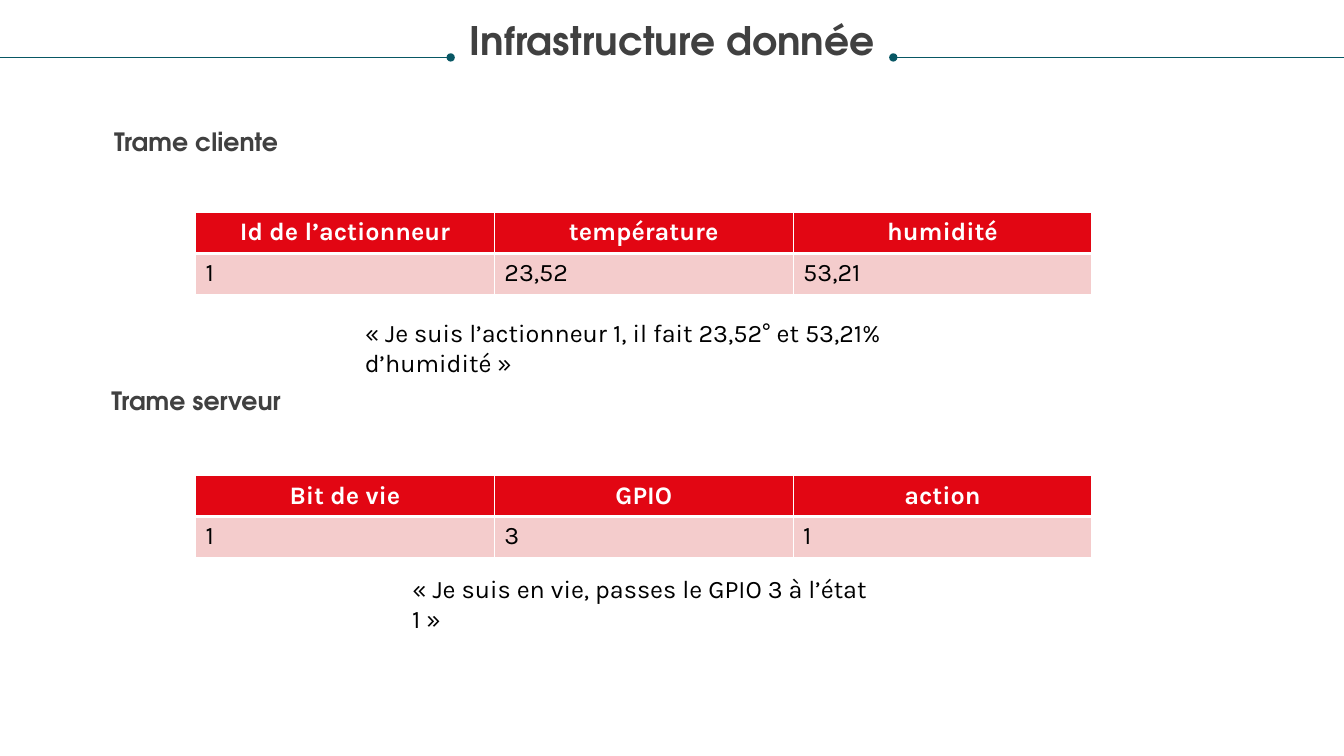
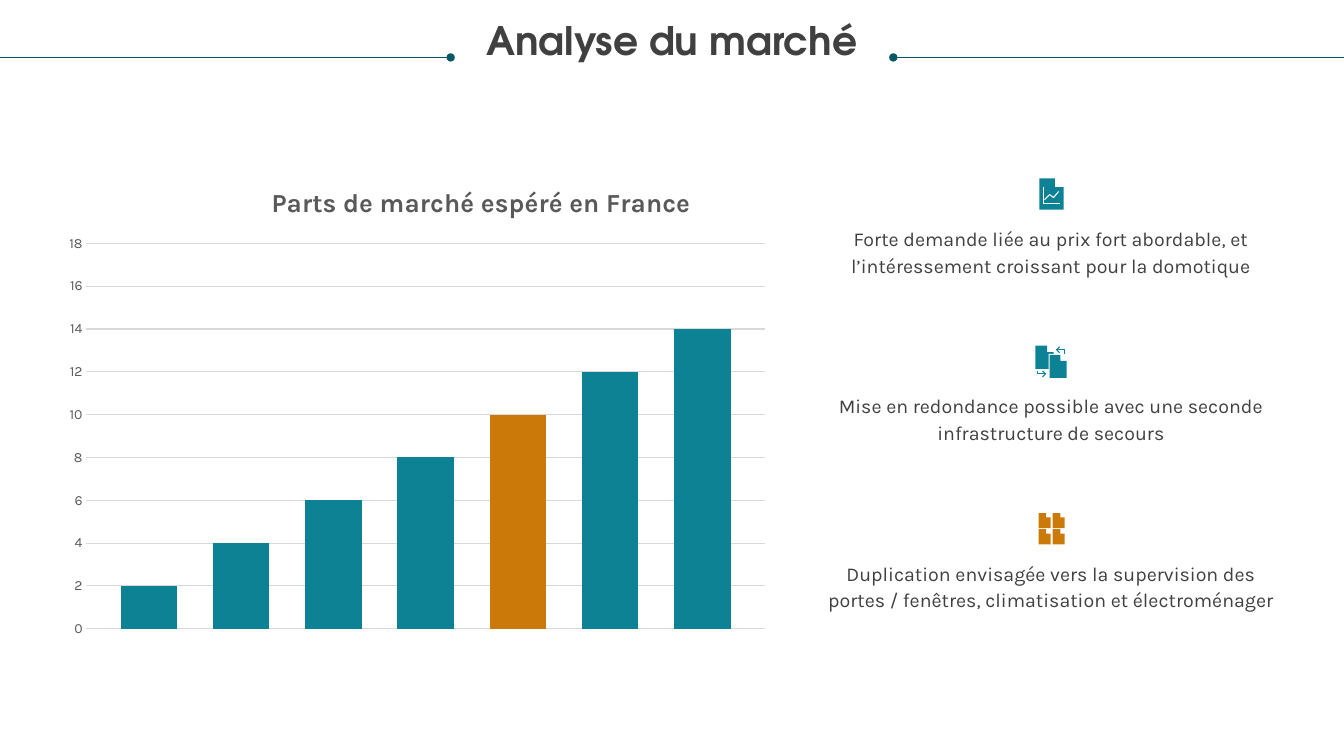
"""Build two slides: the data frames of an infrastructure and a market analysis."""
from typing import NamedTuple

from lxml import etree
from pptx import Presentation
from pptx.chart.data import CategoryChartData
from pptx.dml.color import RGBColor
from pptx.enum.chart import XL_CHART_TYPE, XL_TICK_MARK
from pptx.enum.shapes import MSO_CONNECTOR
from pptx.enum.text import PP_ALIGN
from pptx.oxml import parse_xml
from pptx.oxml.ns import nsdecls, qn
from pptx.util import Inches, Pt

COLUMNS = XL_CHART_TYPE.COLUMN_CLUSTERED
NO_TICK = XL_TICK_MARK.NONE
STRAIGHT = MSO_CONNECTOR.STRAIGHT
LEFT, CENTER = PP_ALIGN.LEFT, PP_ALIGN.CENTER

WHITE = RGBColor(0xFF, 0xFF, 0xFF)
BLACK = RGBColor(0x00, 0x00, 0x00)
DARK = RGBColor(0x40, 0x40, 0x40)
GREY = RGBColor(0x59, 0x59, 0x59)
GRID = RGBColor(0xD9, 0xD9, 0xD9)
RED = RGBColor(0xE2, 0x06, 0x13)
PINK = RGBColor(0xF4, 0xCC, 0xCC)
DEEP_TEAL = RGBColor(0x08, 0x57, 0x64)
TEAL = RGBColor(0x0D, 0x82, 0x95)
ORANGE = RGBColor(0xCB, 0x7A, 0x09)

HEAD_FONT, BODY_FONT = "TeX Gyre Adventor", "Karla"
SLIDE_W, SLIDE_H = 13.33, 7.5
RULE_Y = 0.57
PAGE_FOLD = 0.36


class Frame(NamedTuple):
    """A titled data frame with its table and its spoken meaning."""
    title: str
    title_y: float
    table_y: float
    rows: tuple
    quote: str
    quote_box: tuple


class Page(NamedTuple):
    """A sheet with a folded corner in an icon."""
    x: float
    y: float
    w: float
    h: float
    color: RGBColor


class Stroke(NamedTuple):
    """An open line in an icon."""
    points: tuple
    color: RGBColor


class Argument(NamedTuple):
    """A market argument and its icon."""
    y: float
    text: str
    icon: tuple


FRAMES = (
    Frame("Trame cliente", 1.29, 2.11,
          (("Id de l’actionneur", "température", "humidité"), ("1", "23,52", "53,21")),
          "« Je suis l’actionneur 1, il fait 23,52° et 53,21% d’humidité »", (3.52, 3.1, 6.3, 0.4)),
    Frame("Trame serveur", 3.86, 4.72,
          (("Bit de vie", "GPIO", "action"), ("1", "3", "1")),
          "« Je suis en vie, passes le GPIO 3 à l’état 1 »", (3.99, 5.64, 4.8, 0.4)),
)

ARGUMENTS = (
    Argument(2.22, "Forte demande liée au prix fort abordable, et l’intéressement croissant pour la domotique", (
        Page(10.31, 1.77, 0.24, 0.31, TEAL),
        Stroke(((10.35, 1.86), (10.35, 2.02), (10.51, 2.02)), WHITE),
        Stroke(((10.36, 1.98), (10.41, 1.93), (10.45, 1.96), (10.5, 1.9)), WHITE))),
    Argument(3.88, "Mise en redondance possible avec une seconde infrastructure de secours", (
        Page(10.27, 3.43, 0.18, 0.23, TEAL),
        Page(10.4, 3.51, 0.19, 0.24, WHITE),
        Page(10.41, 3.52, 0.17, 0.23, TEAL),
        Stroke(((10.48, 3.47), (10.56, 3.47), (10.56, 3.51)), TEAL),
        Stroke(((10.51, 3.44), (10.48, 3.47), (10.51, 3.5)), TEAL),
        Stroke(((10.29, 3.68), (10.29, 3.71), (10.37, 3.71)), TEAL),
        Stroke(((10.34, 3.68), (10.37, 3.71), (10.34, 3.74)), TEAL))),
    Argument(5.54, "Duplication envisagée vers la supervision des portes / fenêtres, "
                   "climatisation et électroménager",
             tuple(Page(x, y, 0.12, 0.15, ORANGE) for y in (5.09, 5.25) for x in (10.3, 10.44))),
)

SHARES = (2, 4, 6, 8, 10, 12, 14)
HIGHLIGHT = 10


def write(tf, text: str, *, size: float = 18, font: str = BODY_FONT, color: RGBColor = BLACK,
          bold: bool = False, align=LEFT, spacing=None) -> None:
    """Put one formatted paragraph into a text frame."""
    p = tf.paragraphs[0]
    p.alignment = align
    if spacing is not None:
        p.line_spacing = spacing
    r = p.add_run()
    r.text = text
    r.font.size = Pt(size)
    r.font.name = font
    r.font.bold = bold
    r.font.color.rgb = color


def add_text(s, box: tuple, text: str, *, inset: bool = False, **style) -> None:
    """Add a wrapping text box, without margins unless inset."""
    tf = s.shapes.add_textbox(*map(Inches, box)).text_frame
    tf.word_wrap = True
    if not inset:
        tf.margin_left = tf.margin_top = tf.margin_right = tf.margin_bottom = 0
    write(tf, text, **style)


def add_heading(s, box: tuple, text: str, size: float) -> None:
    """Add a centred bold heading."""
    add_text(s, box, text, size=size, font=HEAD_FONT, color=DARK, bold=True, align=CENTER, spacing=0.9)


def add_titled_slide(prs, title: str):
    """Add a blank slide with the title between two dotted rules."""
    s = prs.slides.add_slide(prs.slide_layouts[6])
    for inner, outer in ((4.47, 0), (8.86, SLIDE_W)):
        rule = s.shapes.add_connector(STRAIGHT, Inches(inner), Inches(RULE_Y), Inches(outer), Inches(RULE_Y))
        rule.line.color.rgb = DEEP_TEAL
        rule.line.width = Pt(0.5)
        etree.SubElement(rule.line._get_or_add_ln(), qn("a:headEnd"), type="oval")
        etree.SubElement(rule._element.spPr, qn("a:effectLst"))
    add_heading(s, (0.25, 0.21, 12.83, 0.42), title, 28)
    return s


def set_borders(cell, bottom: float) -> None:
    """Give a cell white borders, 1 pt except at the bottom."""
    tc_pr = cell._tc.get_or_add_tcPr()
    for side, width in (("L", 1), ("R", 1), ("T", 1), ("B", bottom)):
        tc_pr.append(parse_xml(
            f'<a:ln{side} {nsdecls("a")} w="{Pt(width)}"><a:solidFill>'
            f'<a:srgbClr val="{WHITE}"/></a:solidFill></a:ln{side}>'))


def add_frame(s, frame: Frame) -> None:
    """Draw the heading, table and quote of a frame."""
    add_heading(s, (0.25, frame.title_y, 3.39, 0.27), frame.title, 18)
    rows, cols = len(frame.rows), len(frame.rows[0])
    table = s.shapes.add_table(rows, cols, Inches(1.94), Inches(frame.table_y),
                               Inches(8.89), Inches(0.81)).table
    for i, row in enumerate(frame.rows):
        header = i == 0
        for j, text in enumerate(row):
            cell = table.cell(i, j)
            set_borders(cell, 3 if header else 1)
            cell.fill.solid()
            cell.fill.fore_color.rgb = RED if header else PINK
            write(cell.text_frame, text, bold=header, color=WHITE if header else BLACK,
                  align=CENTER if header else LEFT)
    add_text(s, frame.quote_box, frame.quote, inset=True)


def add_outline(s, points: tuple, closed: bool):
    """Add a freeform through points given in inches."""
    start, *rest = [(Inches(x), Inches(y)) for x, y in points]
    builder = s.shapes.build_freeform(*start)
    builder.add_line_segments(rest, close=closed)
    shape = builder.convert_to_shape()
    shape.shadow.inherit = False
    return shape


def add_page(s, page: Page) -> None:
    """Draw a sheet whose top right corner is folded."""
    x, y, right, bottom = page.x, page.y, page.x + page.w, page.y + page.h
    fold = page.w * PAGE_FOLD
    shape = add_outline(s, ((x, y), (right - fold, y), (right - fold, y + fold),
                            (right, y + fold), (right, bottom), (x, bottom)), True)
    shape.fill.solid()
    shape.fill.fore_color.rgb = page.color
    shape.line.fill.background()


def add_stroke(s, stroke: Stroke) -> None:
    """Draw an open line."""
    shape = add_outline(s, stroke.points, False)
    shape.fill.background()
    shape.line.color.rgb = stroke.color
    shape.line.width = Pt(0.75)


def add_argument(s, argument: Argument) -> None:
    """Draw an icon and the text under it."""
    for part in argument.icon:
        if isinstance(part, Page):
            add_page(s, part)
        else:
            add_stroke(s, part)
    add_text(s, (8.09, argument.y, 4.67, 0.51), argument.text, size=14, color=DARK,
             align=CENTER, spacing=Pt(19))


def set_layout(parent, index: int, target: str = "", **fractions: float) -> None:
    """Place a chart part by fractions of the chart area."""
    for old in parent.findall(qn("c:layout")):
        parent.remove(old)
    layout = parse_xml(f'<c:layout {nsdecls("c")}><c:manualLayout/></c:layout>')
    values = {"layoutTarget": target} if target else {}
    values |= {"xMode": "edge", "yMode": "edge"} | fractions
    for name, value in values.items():
        etree.SubElement(layout[0], qn(f"c:{name}"), val=str(value))
    parent.insert(index, layout)


def add_share_chart(s) -> None:
    """Draw the column chart of hoped-for market shares."""
    data = CategoryChartData()
    data.categories = ["1"]
    for n, share in enumerate(SHARES, 1):
        data.add_series(f"Series {n}", (share,))
    chart = s.shapes.add_chart(COLUMNS, Inches(0.57), Inches(1.65), Inches(7.16), Inches(4.78), data).chart
    chart.has_legend = False
    chart.font.size = Pt(10)
    chart.font.name = BODY_FONT
    chart.font.color.rgb = GREY

    write(chart.chart_title.text_frame, "Parts de marché espéré en France",
          size=18.6, color=GREY, bold=True, align=CENTER)
    set_layout(chart.chart_title._element, 1, x=0.29, y=0.03)
    plot_area = chart._chartSpace.find(f".//{qn('c:plotArea')}")
    set_layout(plot_area, 0, "inner", x=0.04, y=0.16, w=0.94, h=0.8)

    chart.category_axis.visible = False
    axis = chart.value_axis
    axis.minimum_scale, axis.maximum_scale, axis.major_unit = 0, 18, 2
    axis.major_tick_mark = axis.minor_tick_mark = NO_TICK
    axis.format.line.fill.background()
    axis.major_gridlines.format.line.color.rgb = GRID
    axis.major_gridlines.format.line.width = Pt(0.75)

    plot = chart.plots[0]
    plot.gap_width, plot.overlap, plot.vary_by_categories = 121, -63, False
    for series, share in zip(plot.series, SHARES):
        series.format.fill.solid()
        series.format.fill.fore_color.rgb = ORANGE if share == HIGHLIGHT else TEAL


def main() -> None:
    """Build and save the presentation."""
    prs = Presentation()
    prs.slide_width, prs.slide_height = Inches(SLIDE_W), Inches(SLIDE_H)

    s = add_titled_slide(prs, "Infrastructure donnée")
    for frame in FRAMES:
        add_frame(s, frame)

    s = add_titled_slide(prs, "Analyse du marché")
    add_share_chart(s)
    for argument in ARGUMENTS:
        add_argument(s, argument)

    prs.save("out.pptx")


if __name__ == "__main__":
    main()
